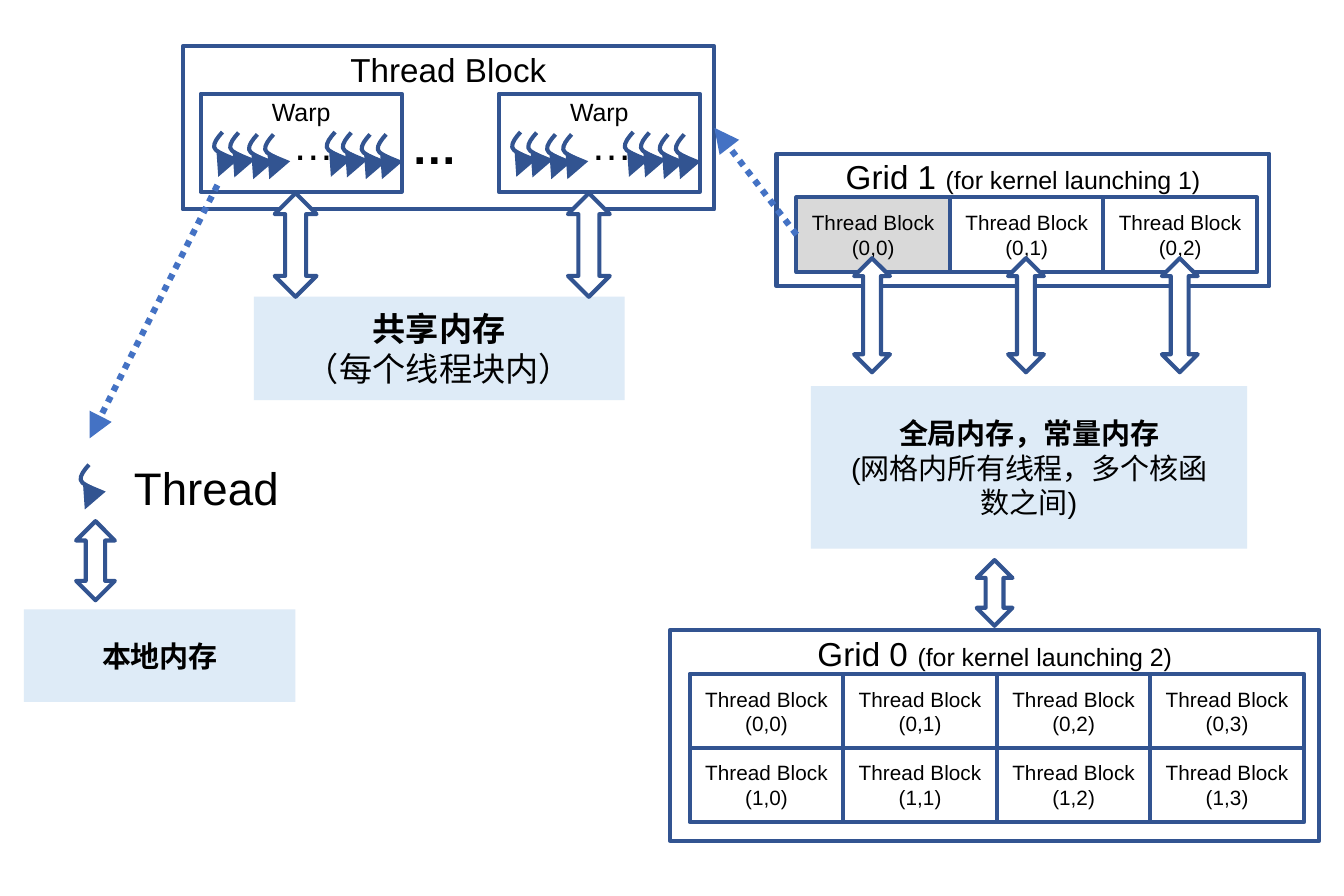
"""Build the slide on GPU threads, blocks, grids and their memories."""
from pptx import Presentation
from pptx import util as u
from pptx.dml.color import RGBColor
from pptx.enum import dml, shapes, text
from pptx.oxml import parse_xml
from pptx.oxml.ns import nsdecls, qn

NAVY, BLUE, PALE, GREY, WHITE, BLACK = "325491", "4472C4", "DEEBF7", "D9D9D9", "FFFFFF", "000000"
SQUIGGLE = [(28, 0), (12, 18), (-2, 36), (0, 51), (2, 66), (46, 76), (50, 92),
            (52, 109), (32, 130), (14, 150)]
FRAME = dict(margin_left=u.Inches(0.1), margin_right=u.Inches(0.1), margin_top=u.Inches(0.01),
             margin_bottom=u.Inches(0.01), vertical_anchor=text.MSO_ANCHOR.TOP, word_wrap=True)
LABEL = dict(FRAME, word_wrap=False)
CELL = dict(FRAME, margin_left=u.Inches(0.05), margin_right=u.Inches(0.05),
            vertical_anchor=text.MSO_ANCHOR.MIDDLE)
MEMORY = dict(vertical_anchor=text.MSO_ANCHOR.MIDDLE, word_wrap=True)
NOTE = dict(word_wrap=False, auto_size=text.MSO_AUTO_SIZE.SHAPE_TO_FIT_TEXT)


def rgb(value):
    """Return the colour for a hex string."""
    return RGBColor.from_string(value)


class Deck:
    """Hold the style and the current slide, measured on a 45 by 30 grid."""

    font = "Arial"

    def __init__(self):
        """Open a blank slide and work out the grid cell."""
        self.prs = Presentation()
        self.prs.slide_width, self.prs.slide_height = u.Inches(4.5), u.Inches(3)
        self.s = self.prs.slides.add_slide(self.prs.slide_layouts[6])
        self.cell = self.prs.slide_width / 45

    def at(self, *cells):
        """Turn grid cells into lengths."""
        return [u.Emu(round(c * self.cell)) for c in cells]

    def stroke(self, sp, color=NAVY, width=1):
        """Set the colour and width of a line."""
        sp.line.color.rgb = rgb(color)
        sp.line.width = u.Pt(width)

    def arrowhead(self, sp):
        """Put a triangle at the end of a line."""
        ln = sp._element.spPr.find(qn("a:ln"))
        ln.append(parse_xml(f'<a:tailEnd {nsdecls("a")} type="triangle"/>'))

    def put_text(self, sp, lines, fmt, align=None):
        """Fill a shape with one paragraph of (text, size, bold) runs in lines."""
        tf = sp.text_frame
        for name, value in fmt.items():
            setattr(tf, name, value)
        p = tf.paragraphs[0]
        p.alignment = align
        for i, line in enumerate(lines):
            if i:
                p.add_line_break()
            for words, size, bold in line:
                r = p.add_run()
                r.text = words
                for name, value in dict(name=self.font, size=u.Pt(size), bold=bold).items():
                    setattr(r.font, name, value)
                r.font.color.rgb = rgb(BLACK)

    def shape(self, kind, place, fill=WHITE, line=True):
        """Add a flat preset shape."""
        sp = self.s.shapes.add_shape(kind, *self.at(*place))
        sp.shadow.inherit = False
        sp.fill.solid()
        sp.fill.fore_color.rgb = rgb(fill)
        if line:
            self.stroke(sp)
        else:
            sp.line.fill.background()
        return sp

    def box(self, place, lines, fmt=FRAME, fill=WHITE, line=True):
        """Add a rectangle with centred text."""
        sp = self.shape(shapes.MSO_SHAPE.RECTANGLE, place, fill, line)
        self.put_text(sp, lines, fmt, text.PP_ALIGN.CENTER)
        return sp

    def memory(self, place, size, title, scope=None):
        """Add a pale memory box with a bold title and its scope."""
        lines = [[(title, size, True)]] + ([[(scope, size, False)]] if scope else [])
        self.box(place, lines, MEMORY, PALE, False)

    def note(self, place, words, size, bold=False):
        """Add a free label."""
        self.put_text(self.s.shapes.add_textbox(*self.at(*place)), [[(words, size, bold)]], NOTE)

    def exchange(self, *place):
        """Add a double-headed block arrow."""
        self.shape(shapes.MSO_SHAPE.UP_DOWN_ARROW, place)

    def thread(self, x, y):
        """Add one curved thread arrow."""
        fb = self.s.shapes.build_freeform(*SQUIGGLE[0], scale=self.cell / 100)
        fb.add_line_segments(SQUIGGLE[1:], close=False)
        sp = fb.convert_to_shape(*self.at(x, y))
        outline = next(sp._element.iter(qn("a:path")))
        for i, ln in enumerate(outline.findall(qn("a:lnTo"))):
            if i % 3 == 0:
                curve = parse_xml(f'<a:cubicBezTo {nsdecls("a")}/>')
                outline.append(curve)
            curve.append(ln[0])
            outline.remove(ln)
        sp.shadow.inherit = False
        sp.fill.background()
        self.stroke(sp)
        self.arrowhead(sp)

    def warp(self, x):
        """Add a warp with two groups of four threads."""
        self.box((x, 3.14, 6.74, 3.28), [[("Warp", 6, False)]], LABEL)
        for group in (0.45, 4.22):
            for dx, y in ((0, 4.42), (0.54, 4.44), (1.17, 4.5), (1.71, 4.5)):
                self.thread(x + group + dx, y)
        self.note((x + 2.1, 3.5, 3.4, 2.7), "…", 10)

    def grid(self, place, name, launch, rows, columns, first_fill=WHITE):
        """Add a launch grid and return its first block."""
        x, y = place[:2]
        self.box(place, [[(name + " ", 8, False), (launch, 6, False)]])
        blocks = [self.box((x + 0.67 + 5.14 * c, y + 1.46 + 2.47 * r, 5.15, 2.5),
                           [[(f"Thread Block ({r},{c})", 5, False)]], CELL,
                           WHITE if r or c else first_fill)
                  for r in range(rows) for c in range(columns)]
        return blocks[0]

    def zoom(self, start, end, source=None, target=None):
        """Add a dotted arrow from a part to its detail."""
        sp = self.s.shapes.add_connector(shapes.MSO_CONNECTOR.STRAIGHT, *self.at(*start, *end))
        if source:
            sp.begin_connect(source, 1)
        if target:
            sp.end_connect(target, 3)
        self.stroke(sp, BLUE, 1.5)
        sp.line.dash_style = dml.MSO_LINE.ROUND_DOT
        self.arrowhead(sp)
        sp._element.spPr.append(parse_xml(f'<a:effectLst {nsdecls("a")}/>'))


def main():
    """Draw the slide and save it."""
    d = Deck()
    block = d.box((6.12, 1.55, 17.8, 5.46), [[("Thread Block", 8, False)]])
    d.grid((22.43, 21.1, 21.75, 7.05), "Grid 0", "(for kernel launching 2)", 2, 4)
    first = d.grid((26, 5.15, 16.5, 4.45), "Grid 1", "(for kernel launching 1)", 1, 3, GREY)
    for x in (6.72, 16.7):
        d.warp(x)
    d.note((12.8, 3.5, 3.6, 2.9), "…", 11, True)
    d.thread(2.7, 15.56)
    d.note((3.5, 14.9, 7.2, 2.9), "Thread", 11)

    d.memory((0.8, 20.4, 9.1, 3.1), 7, "本地内存")
    d.memory((8.5, 9.93, 12.42, 3.47), 8, "共享内存", "（每个线程块内）")
    d.memory((27.15, 12.93, 14.61, 5.45), 7, "全局内存，常量内存", "(网格内所有线程，多个核函数之间)")

    d.exchange(2.55, 17.45, 1.3, 2.65)
    for x in (9.2, 19.02):
        d.exchange(x, 6.47, 1.4, 3.47)
    for column in range(3):
        d.exchange(28.6 + 5.15 * column, 8.65, 1.2, 3.82)
    d.exchange(32.7, 18.75, 1.2, 2.2)

    d.zoom((26.7, 7.9), (23.9, 4.3), first, block)
    d.zoom((7.28, 6.2), (3, 14.68))
    d.prs.save("out.pptx")


if __name__ == "__main__":
    main()
